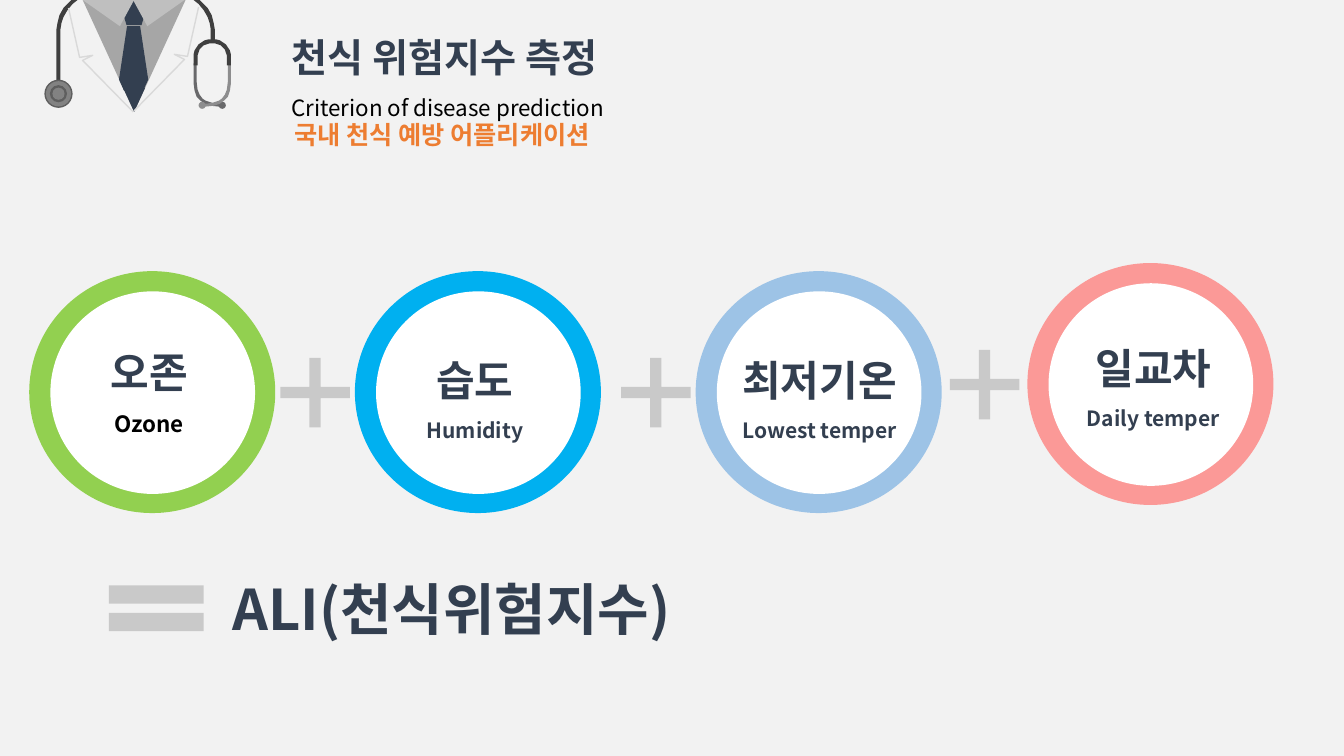
"""Build the slide that adds four factors up to the asthma risk index."""
from math import cos, pi, sin

from lxml.etree import SubElement
from pptx import Presentation
from pptx.dml.color import RGBColor
from pptx.enum.shapes import MSO_SHAPE as SHAPE
from pptx.enum.text import MSO_AUTO_SIZE as AUTO, PP_ALIGN as ALIGN
from pptx.oxml.ns import qn
from pptx.util import Pt

PX = 9144
FONT = "Noto Sans CJK KR"
PAPER = RGBColor(0xF2, 0xF2, 0xF2)
WHITE = RGBColor(0xFF, 0xFF, 0xFF)
BLACK = RGBColor(0, 0, 0)
NAVY = RGBColor(0x33, 0x3F, 0x50)
ORANGE = RGBColor(0xED, 0x7D, 0x31)
SIGN = RGBColor(0xC9, 0xC9, 0xC9)
GREEN = RGBColor(0x92, 0xD0, 0x50)
BLUE = RGBColor(0x00, 0xB0, 0xF0)
PALE_BLUE = RGBColor(0x9D, 0xC3, 0xE6)
PINK = RGBColor(0xFB, 0x99, 0x97)
SHIRT = RGBColor(0xA6, 0xA6, 0xA6)
COLLAR = RGBColor(0xBF, 0xBF, 0xBF)
LAPEL = RGBColor(0xD9, 0xD9, 0xD9)
TUBE = RGBColor(0x3F, 0x3F, 0x3F)
METAL = RGBColor(0x5E, 0x5E, 0x5E)
METAL_LIGHT = RGBColor(0x82, 0x82, 0x82)
EAR_DARK = RGBColor(0x69, 0x69, 0x6B)
EAR_LIGHT = RGBColor(0x8D, 0x8D, 0x8E)

HEADING = [("천식 위험지수 측정", 28, NAVY, True),
           ("Criterion of disease prediction", 16, BLACK, False)]
SUBTITLE = [("국내 천식 예방 어플리케이션", 18, ORANGE, True)]
RESULT = [("ALI(천식위험지수)", 40, NAVY, True)]

FACTORS = [
    ("오존", "Ozone", 16, BLACK, GREEN, (29, 269), (-9, 314, 314, 126)),
    ("습도", "Humidity", 15, NAVY, BLUE, (352, 269), (314, 322, 314, 119)),
    ("최저기온", "Lowest temper", 15, NAVY, PALE_BLUE, (690, 269), (656, 322, 314, 124)),
    ("일교차", "Daily temper", 15, NAVY, PINK, (1019, 261), (995, 310, 298, 124)),
]
PLUSES = [(278, 355), (616, 355), (942, 347)]

TIE = [(126, 26), (139, 26), (147, 79), (142, 90), (123, 90), (118, 79)]
LEFT_TUBE = [(71, 0), (77, 0), (72, 4), (67, 10), (63, 17), (61, 23), (60, 29),
             (60, 100), (56, 100), (56, 29), (57, 23), (59, 15), (63, 8), (69, 2)]
EAR_TUBE = [(219, 106), (209, 105), (203, 103), (199, 100), (195, 96), (193, 90),
            (192, 83), (192, 63), (195, 63), (195, 81), (196, 89), (198, 94),
            (201, 98), (204, 100), (210, 102), (216, 103), (221, 103), (221, 106)]
LEFT_LAPEL = [(68, 8), (79, 57), (92, 55), (82, 60), (132, 111)]
CHEST_PIECE = [(28, METAL), (25, METAL_LIGHT), (17, METAL), (12, METAL_LIGHT)]


def mirror(points, total, dy=0):
    return [(total - x, y + dy) for x, y in points]


def arch(cx, cy, outer, inner, foot):
    angles = [pi - pi * i / 16 for i in range(17)]

    def arc(radius, steps):
        return [(round(cx + radius * cos(a), 2), round(cy - radius * sin(a), 2)) for a in steps]

    return ([(cx - outer, foot)] + arc(outer, angles) + [(cx + outer, foot), (cx + inner, foot)]
            + arc(inner, angles[::-1]) + [(cx - inner, foot)])


def paint(sp, fill):
    sp.shadow.inherit = False
    sp.fill.solid()
    sp.fill.fore_color.rgb = fill
    sp.line.fill.background()


def add_preset(shapes, kind, box, fill, adj=None, rotation=0):
    sp = shapes.add_shape(kind, *[v * PX for v in box])
    paint(sp, fill)
    if adj is not None:
        sp.adjustments[0] = adj
    sp.rotation = rotation


def add_outline(shapes, points, fill=None):
    builder = shapes.build_freeform(*points[0], scale=PX)
    builder.add_line_segments(points[1:], close=fill is not None)
    sp = builder.convert_to_shape()
    if fill is not None:
        paint(sp, fill)
        return
    sp.shadow.inherit = False
    sp.fill.background()
    sp.line.color.rgb = LAPEL
    sp.line.width = Pt(1)


def add_text(shapes, box, lines, align=ALIGN.LEFT, spacing=None, wrap=True):
    tf = shapes.add_textbox(*[v * PX for v in box]).text_frame
    tf.word_wrap = wrap
    tf.auto_size = AUTO.SHAPE_TO_FIT_TEXT
    tf.text = "\n".join(line[0] for line in lines)
    for p, (_, size, color, bold) in zip(tf.paragraphs, lines):
        p.alignment = align
        p.line_spacing = spacing
        font = p.runs[0].font
        font.size = Pt(size)
        font.bold = bold
        font.color.rgb = color
        font.name = FONT
        SubElement(p.runs[0]._r.get_or_add_rPr(), qn("a:ea")).set("typeface", FONT)


def add_doctor(shapes):
    add_preset(shapes, SHAPE.ISOSCELES_TRIANGLE, (82, 0, 102, 111), SHIRT, 0.5, 180)
    add_preset(shapes, SHAPE.REGULAR_PENTAGON, (121, 0, 24, 25), NAVY)
    add_outline(shapes, TIE, NAVY)
    add_outline(shapes, LEFT_TUBE, TUBE)
    right_tube = [(x, min(y, 42)) for x, y in mirror(LEFT_TUBE, 269)]
    add_outline(shapes, right_tube, TUBE)
    for d, fill in CHEST_PIECE:
        add_preset(shapes, SHAPE.OVAL, (58 - d / 2, 93 - d / 2, d, d), fill)
    for tube, tip, fill in ((EAR_TUBE, 217, EAR_DARK), (mirror(EAR_TUBE, 421), 197, EAR_LIGHT)):
        add_outline(shapes, tube, fill)
        add_preset(shapes, SHAPE.OVAL, (tip, 101, 7, 7), fill)
    add_outline(shapes, arch(210.5, 57.5, 18.5, 14.5, 65), TUBE)
    for left, adj in ((82, 0.277), (132, 0.723)):
        add_preset(shapes, SHAPE.ISOSCELES_TRIANGLE, (left, 0, 51, 26), COLLAR, adj, 180)
    add_preset(shapes, SHAPE.ISOSCELES_TRIANGLE, (122, 87, 22, 24), NAVY, 0.5, 180)
    add_outline(shapes, LEFT_LAPEL)
    add_outline(shapes, mirror(LEFT_LAPEL, 265, -1))


def main():
    prs = Presentation()
    prs.slide_width, prs.slide_height = 1333 * PX, 750 * PX
    s = prs.slides.add_slide(prs.slide_layouts[6])
    s.background.fill.solid()
    s.background.fill.fore_color.rgb = PAPER
    add_doctor(s.shapes.add_group_shape().shapes)
    add_text(s.shapes, (279, 5, 670, 120), HEADING, spacing=1.5)
    add_text(s.shapes, (282, 113, 350, 40), SUBTITLE, wrap=False)
    for name, english, size, color, ring, (x, y), box in FACTORS:
        add_preset(s.shapes, SHAPE.OVAL, (x, y, 244, 240), ring)
        add_preset(s.shapes, SHAPE.OVAL, (x + 21, y + 20, 203, 201), WHITE)
        lines = [(name, 30, NAVY, True), (english, size, color, True)]
        add_text(s.shapes, box, lines, ALIGN.CENTER, 1.5)
    for x, y in PLUSES:
        add_preset(s.shapes, SHAPE.CROSS, (x, y, 69, 69), SIGN, 0.419)
    add_preset(s.shapes, SHAPE.MATH_EQUAL, (91, 565, 128, 77), SIGN)
    add_text(s.shapes, (221, 565, 670, 77), RESULT)
    prs.save("out.pptx")


if __name__ == "__main__":
    main()
